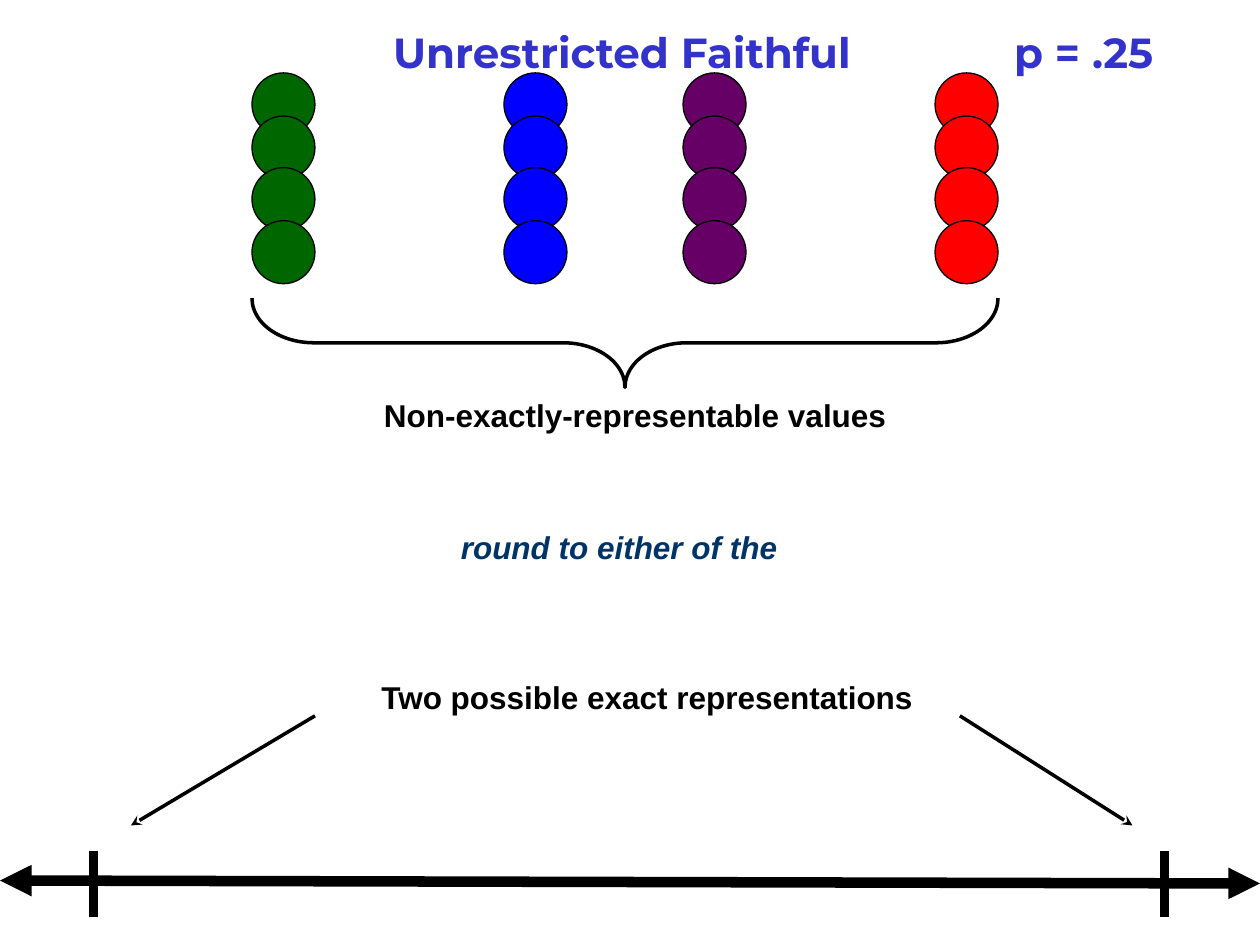
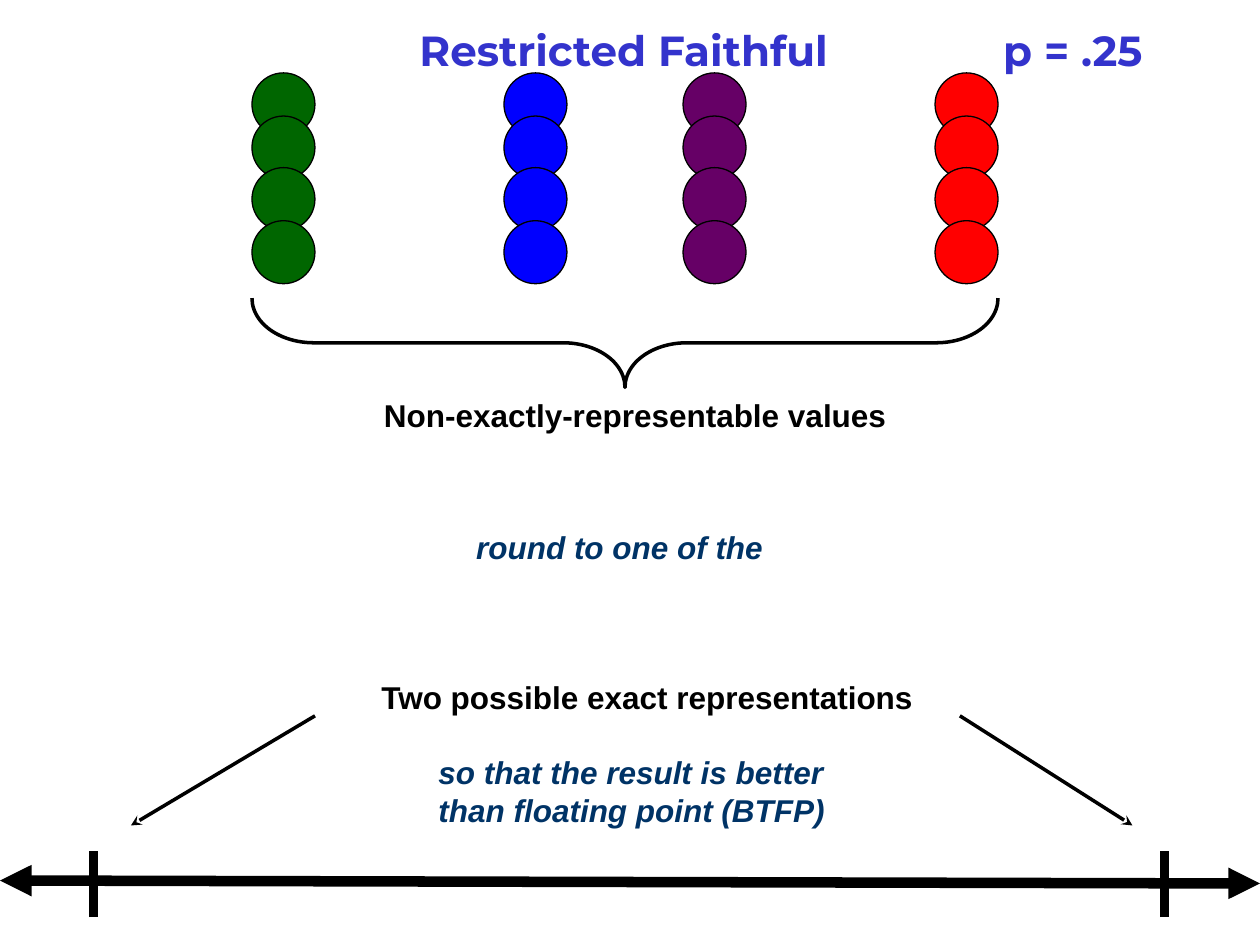
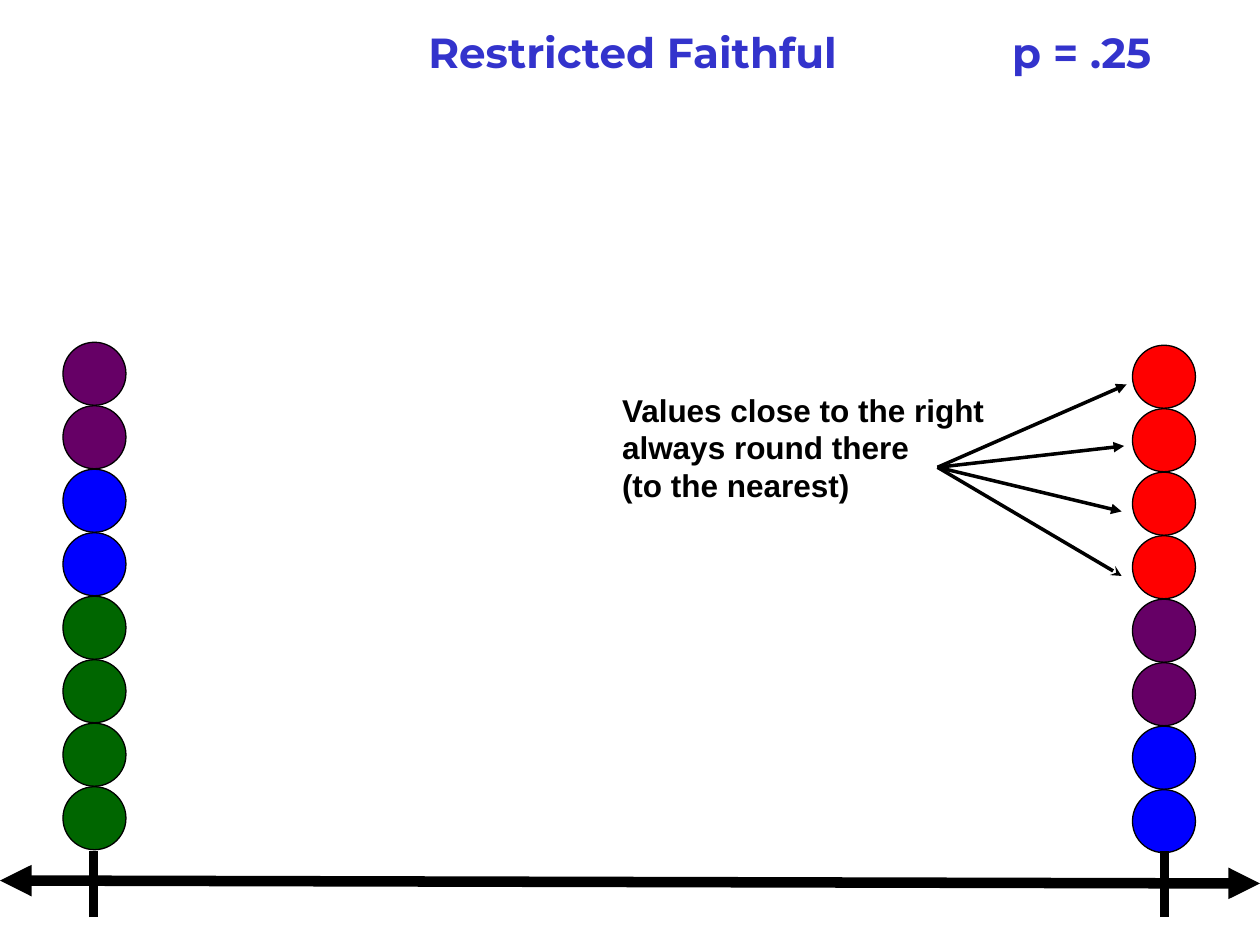
"""Build three slides on faithful rounding with p = .25."""
from lxml.etree import SubElement
from pptx import Presentation
from pptx.dml.color import RGBColor
from pptx.enum.shapes import MSO_CONNECTOR as Connector, MSO_SHAPE as Shape
from pptx.enum.text import MSO_ANCHOR as Anchor, MSO_AUTO_SIZE as AutoSize, PP_ALIGN as Align
from pptx.oxml.ns import qn
from pptx.util import Cm, Pt

BLACK = RGBColor(0x00, 0x00, 0x00)
TITLE_BLUE = RGBColor(0x33, 0x33, 0xCC)
NAVY = RGBColor(0x00, 0x33, 0x66)
GREEN = RGBColor(0x00, 0x66, 0x00)
BLUE = RGBColor(0x00, 0x00, 0xFF)
PURPLE = RGBColor(0x66, 0x00, 0x66)
RED = RGBColor(0xFF, 0x00, 0x00)
DIAMETER = 1.27
STACK_STEP = 1.28


def add_line(page, start, end, width, head=None, tail=None):
    line = page.shapes.add_connector(Connector.STRAIGHT, *map(Cm, start + end))
    line.line.color.rgb = BLACK
    line.line.width = Pt(width)
    outline = line.line._get_or_add_ln()
    for tag, kind in (("a:headEnd", head), ("a:tailEnd", tail)):
        if kind:
            SubElement(outline, qn(tag), type=kind)
    SubElement(line._element.spPr, qn("a:effectLst"))


def format_text(frame, font_name, size, colour, italic=False):
    frame.word_wrap = True
    frame.auto_size = AutoSize.NONE
    frame.vertical_anchor = Anchor.TOP
    for paragraph in frame.paragraphs:
        paragraph.alignment = Align.LEFT
        for span in paragraph.runs:
            span.font.name = font_name
            span.font.size = Pt(size)
            span.font.bold = True
            span.font.italic = italic
            span.font.color.rgb = colour


value_columns = ((GREEN, 5.08), (BLUE, 10.16), (PURPLE, 13.77), (RED, 18.85))
value_rows = (1.47, 2.34, 3.38, 4.45)
values = [(colour, left, top) for colour, left in value_columns for top in value_rows]

left_stack = [PURPLE] * 2 + [BLUE] * 2 + [GREEN] * 4
right_stack = [RED] * 4 + [PURPLE] * 2 + [BLUE] * 2
rounded = [
    (colour, left, top + row * STACK_STEP)
    for stack, left, top in ((left_stack, 1.27, 6.9), (right_stack, 22.83, 6.96))
    for row, colour in enumerate(stack)
]

value_labels = [
    ("Non-exactly-representable values", 7.49, 7.85, 11.81, 1.02, BLACK),
    ("Two possible exact representations", 7.44, 13.54, 11.81, 1.02, BLACK),
]
either_label = ("round to either of the", 9.04, 10.52, 7.85, 1.02, NAVY)
one_label = ("round to one of the", 9.35, 10.52, 6.88, 1.02, NAVY)
better_label = ("so that the result is better than floating point (BTFP)",
                8.59, 15.06, 8.69, 1.78, NAVY)
nearest_label = ("Values close to the right\nalways round there\n(to the nearest)",
                 12.29, 7.75, 8.41, 3.3, BLACK)

value_arrows = [
    ((6.35, 14.43), (2.64, 16.64), "stealth"),
    ((19.35, 14.43), (22.83, 16.64), "stealth"),
]
fan_start = (18.9, 9.42)
fan_arrows = [
    (fan_start, (22.61, 11.61), "stealth"),
    (fan_start, (22.61, 10.31), "triangle"),
    (fan_start, (22.66, 8.99), "triangle"),
    (fan_start, (22.71, 7.75), "triangle"),
]

pages = [
    ("Unrestricted Faithful", 7.67, 0.41, 12.52, values, True,
     value_labels + [either_label], value_arrows),
    ("Restricted Faithful", 8.2, 0.36, 11.77, values, True,
     value_labels + [one_label, better_label], value_arrows),
    ("Restricted Faithful", 8.38, 0.41, 11.77, rounded, False,
     [nearest_label], fan_arrows),
]

deck = Presentation()
deck.slide_width = Cm(25.4)
deck.slide_height = Cm(19.05)

for heading, left, top, tab, circles, has_brace, labels, arrows in pages:
    page = deck.slides.add_slide(deck.slide_layouts[5])
    title = page.shapes.title
    title.left, title.top, title.width, title.height = Cm(left), Cm(top), Cm(17), Cm(1.27)
    title.text_frame.text = f"{heading}\tp = .25"
    properties = title.text_frame.paragraphs[0]._p.get_or_add_pPr()
    tabs = SubElement(properties, qn("a:tabLst"))
    SubElement(tabs, qn("a:tab"), pos=str(Cm(tab)), algn="l")
    format_text(title.text_frame, "Montserrat", 24, TITLE_BLUE)

    for colour, circle_left, circle_top in circles:
        circle = page.shapes.add_shape(
            Shape.OVAL, Cm(circle_left), Cm(circle_top), Cm(DIAMETER), Cm(DIAMETER))
        circle.shadow.inherit = False
        circle.fill.solid()
        circle.fill.fore_color.rgb = colour
        circle.line.color.rgb = BLACK
        circle.line.width = Pt(0.75)

    add_line(page, (0, 17.75), (25.4, 17.81), 6, "triangle", "triangle")
    for tick in (1.88, 23.47):
        add_line(page, (tick, 18.49), (tick, 17.15), 5)
    for start, end, tail in arrows:
        add_line(page, start, end, 2, tail=tail)

    if has_brace:
        brace = page.shapes.add_shape(Shape.LEFT_BRACE, Cm(11.7), Cm(-0.61), Cm(1.8), Cm(15.04))
        brace.rotation = 270
        brace.adjustments[0] = 0.69
        brace.shadow.inherit = False
        brace.fill.background()
        brace.line.color.rgb = BLACK
        brace.line.width = Pt(2)

    for text, label_left, label_top, width, height, colour in labels:
        box = page.shapes.add_textbox(Cm(label_left), Cm(label_top), Cm(width), Cm(height))
        box.text_frame.text = text
        format_text(box.text_frame, "Arial", 18, colour, italic=colour == NAVY)

deck.save("out.pptx")
